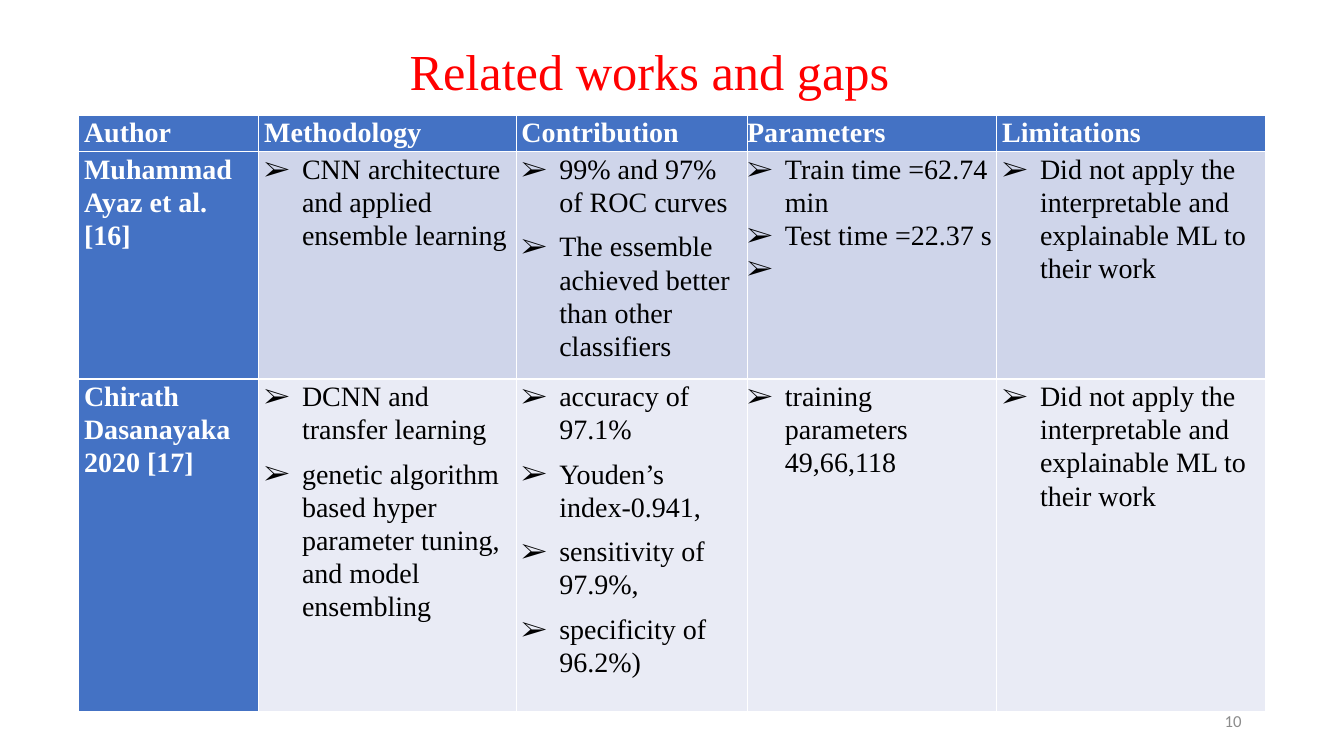
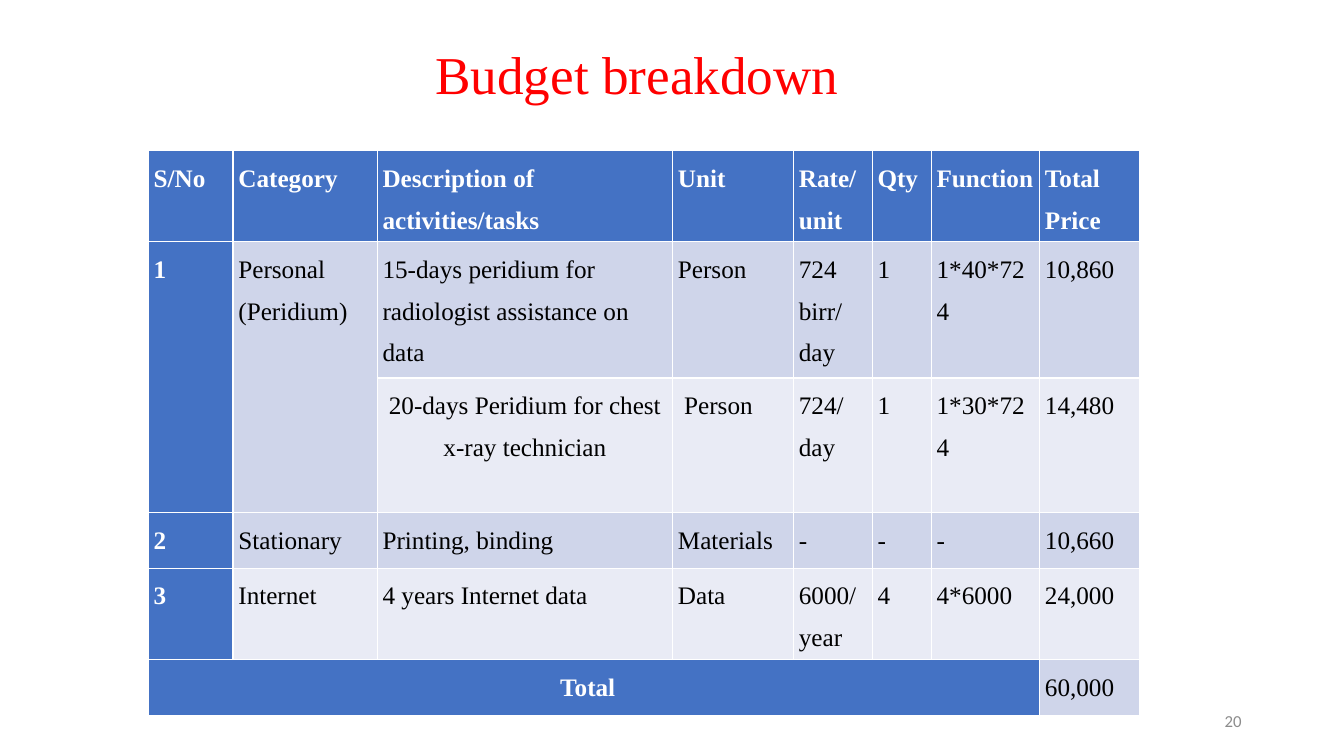
from lxml import etree
from pptx import Presentation
from pptx.dml.color import RGBColor
from pptx.enum.shapes import MSO_SHAPE
from pptx.enum.text import MSO_ANCHOR, PP_ALIGN
from pptx.oxml.ns import qn
from pptx.util import Pt

RECT = MSO_SHAPE.RECTANGLE
MIDDLE = MSO_ANCHOR.MIDDLE
LEFT, CENTER, RIGHT = PP_ALIGN.LEFT, PP_ALIGN.CENTER, PP_ALIGN.RIGHT

COLORS = {
    "white": "FFFFFF",
    "black": "000000",
    "title": "FF0000",
    "page": "8C8C8C",
    "header": "4472C4",
    "band_dark": "CFD5EA",
    "band_light": "E9EBF5",
}
SERIF, SANS = "Times New Roman", "Calibri"
INSET = 3.8
TOP_INSET = 0.2
BULLET_INDENT = 27


def rgb(name):
    return RGBColor.from_string(COLORS[name])


class Deck:
    """Holds the style and the slide being built."""

    def __init__(self):
        self.prs = Presentation()
        self.prs.slide_width, self.prs.slide_height = Pt(960), Pt(540)
        self.s = None

    def new_slide(self):
        self.s = self.prs.slides.add_slide(self.prs.slide_layouts[6])

    def run(self, p, text, size, color, font=SERIF, bold=False):
        r = p.add_run()
        r.text = text
        r.font.name, r.font.size, r.font.bold = font, Pt(size), bold
        r.font.color.rgb = rgb(color)

    def title(self, text, box, size, right_inset):
        sp = self.s.shapes.add_shape(RECT, *map(Pt, box))
        sp.shadow.inherit = False
        sp.fill.solid()
        sp.fill.fore_color.rgb = rgb("white")
        sp.line.fill.background()
        tf = sp.text_frame
        tf.word_wrap, tf.vertical_anchor = True, MIDDLE
        tf.margin_right = Pt(right_inset)
        p = tf.paragraphs[0]
        p.alignment = CENTER
        self.run(p, text, size, "title")

    def page_number(self, number):
        sp = self.s.shapes.add_textbox(Pt(678), Pt(500.5), Pt(216), Pt(29))
        tf = sp.text_frame
        tf.word_wrap, tf.vertical_anchor = True, MIDDLE
        p = tf.paragraphs[0]
        p.alignment = RIGHT
        self.run(p, str(number), 12, "page", SANS)

    def bullet(self, p):
        p_pr = p._p.get_or_add_pPr()
        p_pr.set("marL", str(Pt(BULLET_INDENT)))
        p_pr.set("indent", str(-Pt(BULLET_INDENT)))
        etree.SubElement(p_pr, qn("a:buFont"), typeface=SERIF)
        etree.SubElement(p_pr, qn("a:buChar"), char="➢")

    def cell(self, cell, content, fill, size, spacing, inset, gap):
        """Fill one cell; a list becomes bullets, a string plain paragraphs."""
        cell.fill.solid()
        cell.fill.fore_color.rgb = rgb(fill)
        cell.margin_left = cell.margin_right = Pt(inset)
        cell.margin_top, cell.margin_bottom = Pt(TOP_INSET), 0
        bulleted = isinstance(content, list)
        strong = fill == "header"
        tf = cell.text_frame
        texts = content if bulleted else content.split("\n")
        for i, text in enumerate(texts):
            p = tf.add_paragraph() if i else tf.paragraphs[0]
            p.alignment, p.line_spacing = LEFT, spacing
            p.space_after = Pt(gap if i < len(texts) - 1 else 0)
            if bulleted:
                self.bullet(p)
            if text:
                self.run(p, text, size, "white" if strong else "black", bold=strong)

    def table(self, left, top, widths, heights, data, size, spacing, gap=0, tight_col=None):
        """Add a table; the tight column has no side insets and no paragraph gaps.

        The white rules come from the default table style.
        """
        frame = self.s.shapes.add_table(len(heights), len(widths), Pt(left), Pt(top),
                                        Pt(sum(widths)), Pt(sum(heights)))
        table = frame.table
        for column, width in zip(table.columns, widths):
            column.width = Pt(width)
        for row, height in zip(table.rows, heights):
            row.height = Pt(height)
        for i, values in enumerate(data):
            band = "band_dark" if i % 2 else "band_light"
            for j, content in enumerate(values):
                fill = "header" if i == 0 or j == 0 else band
                tight = j == tight_col
                self.cell(table.cell(i, j), content, fill, size, spacing,
                          0 if tight else INSET, 0 if tight else gap)
        return table


def related_works(deck):
    limitation = ["Did not apply the interpretable and explainable ML to their work"]
    data = [
        ["Author", "Methodology", "Contribution", "Parameters", "Limitations"],
        ["Muhammad Ayaz et al.[16]",
         ["CNN architecture and applied ensemble learning"],
         ["99% and 97% of ROC curves",
          "The essemble achieved better than other classifiers"],
         ["Train time =62.74 min", "Test time =22.37 s", " "],
         limitation],
        ["Chirath Dasanayaka 2020 [17]",
         ["DCNN and transfer learning",
          "genetic algorithm based hyper parameter tuning, and model ensembling"],
         ["accuracy of 97.1%", "Youden’s index-0.941,",
          "sensitivity of 97.9%,", "specificity of 96.2%)"],
         ["training parameters 49,66,118"],
         limitation],
    ]
    deck.new_slide()
    deck.title("Related works and gaps", (98, 23, 750, 55), 36, 25)
    deck.page_number(10)
    deck.table(56.2, 82.5, [128.7, 183.8, 165, 178.4, 191.8], [24, 158.5, 237.5],
               data, 20, 1.07, gap=8, tight_col=3)


def budget(deck):
    data = [
        ["S/No", "Category", "Description of activities/tasks", "Unit",
         "Rate/unit", "Qty", "Function", "Total Price"],
        ["1", "Personal\n(Peridium)", "15-days peridium for radiologist assistance on data",
         "Person", "724 birr/ day", "1", "1*40*724", "10,860"],
        ["", "", "20-days Peridium for chest x-ray technician",
         "Person", "724/day", "1", "1*30*724", "14,480"],
        ["2", "Stationary", "Printing, binding", "Materials", "-", "-", "-", "10,660"],
        ["3", "Internet", "4 years Internet data", "Data", "6000/year", "4", "4*6000", "24,000"],
        ["Total", "", "", "", "", "", "", "60,000"],
    ]
    deck.new_slide()
    deck.page_number(20)
    table = deck.table(106, 107.5, [60.5, 103, 211, 86.4, 56.2, 42.2, 77.4, 71.2],
                       [60, 92, 96, 40, 60, 40], data, 18, 1.5)
    for first, last in (((1, 0), (2, 0)), ((1, 1), (2, 1)), ((5, 0), (5, 6))):
        table.cell(*first).merge(table.cell(*last))
    technician, total = table.cell(2, 2), table.cell(5, 0)
    for cell in (technician, total):
        cell.text_frame.paragraphs[0].alignment = CENTER
    total.margin_right = Pt(INSET + 9)
    table.cell(2, 3).margin_left = Pt(INSET + 4.5)
    deck.title("Budget breakdown", (106, 26, 708, 53), 38, 17)


def main():
    deck = Deck()
    related_works(deck)
    budget(deck)
    deck.prs.save("out.pptx")


if __name__ == "__main__":
    main()
